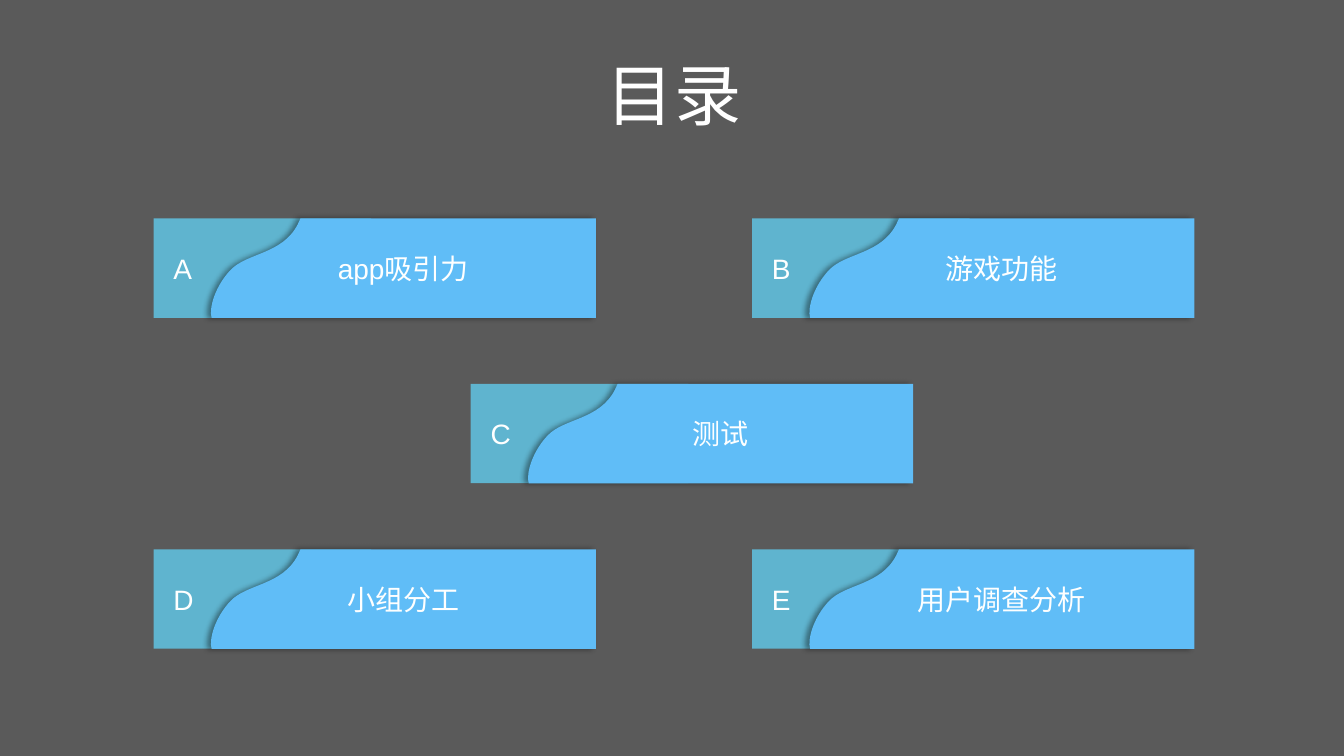
from dataclasses import dataclass

from lxml.etree import SubElement
from pptx import Presentation
from pptx.dml.color import RGBColor
from pptx.enum.shapes import MSO_SHAPE
from pptx.enum.text import MSO_ANCHOR, PP_ALIGN
from pptx.oxml.ns import qn
from pptx.util import Pt


@dataclass(frozen=True)
class Theme:
    background: str = "5A5A5A"
    tab: str = "5FB4CF"
    panel: str = "60BDF7"
    shadow: str = "000000"
    title_text: str = "FFFFFF"
    card_text: str = "FEFFFF"
    font: str = "Arial"
    title_size: int = 48
    card_size: int = 20


THEME = Theme()

TAB_WIDTH, CARD_HEIGHT, PANEL_RIGHT = 155.5, 71, 316
COLUMN_LEFT, COLUMN_MIDDLE, COLUMN_RIGHT = 109.7, 336.2, 537.2
FIRST_ROW_TOP, ROW_STEP = 156, 118.2

# Panel outline, measured from the card corner: straight corners, then the wave,
# where every three points are two controls and the end of a cubic curve.
CORNERS = [(105, 0), (PANEL_RIGHT, 0), (PANEL_RIGHT, CARD_HEIGHT),
           (41.5, CARD_HEIGHT), (41, 68)]
WAVE = [(40.8, 58.3), (46.8, 45.4), (55.2, 36.7),
        (67, 24.5), (92, 25.7), (103, 4.3)]

CARDS = [
    ("A", "app吸引力", COLUMN_LEFT, 0),
    ("B", "游戏功能", COLUMN_RIGHT, 0),
    ("D", "小组分工", COLUMN_LEFT, 2),
    ("C", "测试", COLUMN_MIDDLE, 1),
    ("E", "用户调查分析", COLUMN_RIGHT, 2),
]


def write_text(shape, text, *, size, color, align=PP_ALIGN.CENTER, inset=7.2):
    frame = shape.text_frame
    frame.word_wrap = True
    frame.vertical_anchor = MSO_ANCHOR.MIDDLE
    frame.margin_left = Pt(inset)
    paragraph = frame.paragraphs[0]
    paragraph.alignment = align
    run = paragraph.add_run()
    run.text = text
    run.font.name = THEME.font
    run.font.size = Pt(size)
    run.font.color.rgb = RGBColor.from_string(color)


def paint(shape, color):
    shape.fill.solid()
    shape.fill.fore_color.rgb = RGBColor.from_string(color)
    shape.line.fill.background()
    shape.shadow.inherit = False


def cast_shadow_left(shape):
    effects = shape._element.spPr.find(qn("a:effectLst"))
    shadow = SubElement(
        effects, qn("a:outerShdw"), blurRad=str(Pt(4)), dist=str(Pt(3)),
        dir=str(180 * 60000), algn="r", rotWithShape="0",
    )
    color = SubElement(shadow, qn("a:srgbClr"), val=THEME.shadow)
    SubElement(color, qn("a:alpha"), val="40000")


def bend_wave(shape):
    """Turn each three line segments after the corners into one cubic curve."""
    lines = list(shape._element.iter(qn("a:lnTo")))
    first = len(CORNERS) - 1
    for start in range(first, first + len(WAVE), 3):
        curve, *others = lines[start:start + 3]
        curve.tag = qn("a:cubicBezTo")
        for line in others:
            curve.append(line[0])
            line.getparent().remove(line)


def add_tab(group, letter, left, top):
    tab = group.shapes.add_shape(
        MSO_SHAPE.RECTANGLE, Pt(left), Pt(top), Pt(TAB_WIDTH), Pt(CARD_HEIGHT)
    )
    paint(tab, THEME.tab)
    write_text(tab, letter, size=THEME.card_size, color=THEME.card_text,
               align=PP_ALIGN.LEFT, inset=14.2)


def add_panel(group, label, left, top):
    points = [(Pt(left + x), Pt(top + y)) for x, y in CORNERS + WAVE]
    builder = group.shapes.build_freeform(*points[0])
    builder.add_line_segments(points[1:], close=True)
    panel = builder.convert_to_shape()
    bend_wave(panel)
    paint(panel, THEME.panel)
    cast_shadow_left(panel)
    write_text(panel, label, size=THEME.card_size, color=THEME.card_text)


def add_card(slide, letter, label, left, row):
    top = FIRST_ROW_TOP + row * ROW_STEP
    group = slide.shapes.add_group_shape()
    add_tab(group, letter, left, top)
    add_panel(group, label, left, top)


def add_title(slide, text):
    title = slide.shapes.add_textbox(Pt(386.5), Pt(31), Pt(190), Pt(72))
    write_text(title, text, size=THEME.title_size, color=THEME.title_text)


def main():
    presentation = Presentation()
    presentation.slide_width, presentation.slide_height = Pt(960), Pt(540)
    slide = presentation.slides.add_slide(presentation.slide_layouts[6])
    slide.background.fill.solid()
    slide.background.fill.fore_color.rgb = RGBColor.from_string(THEME.background)
    add_title(slide, "目录")
    for card in CARDS:
        add_card(slide, *card)
    presentation.save("out.pptx")


if __name__ == "__main__":
    main()
